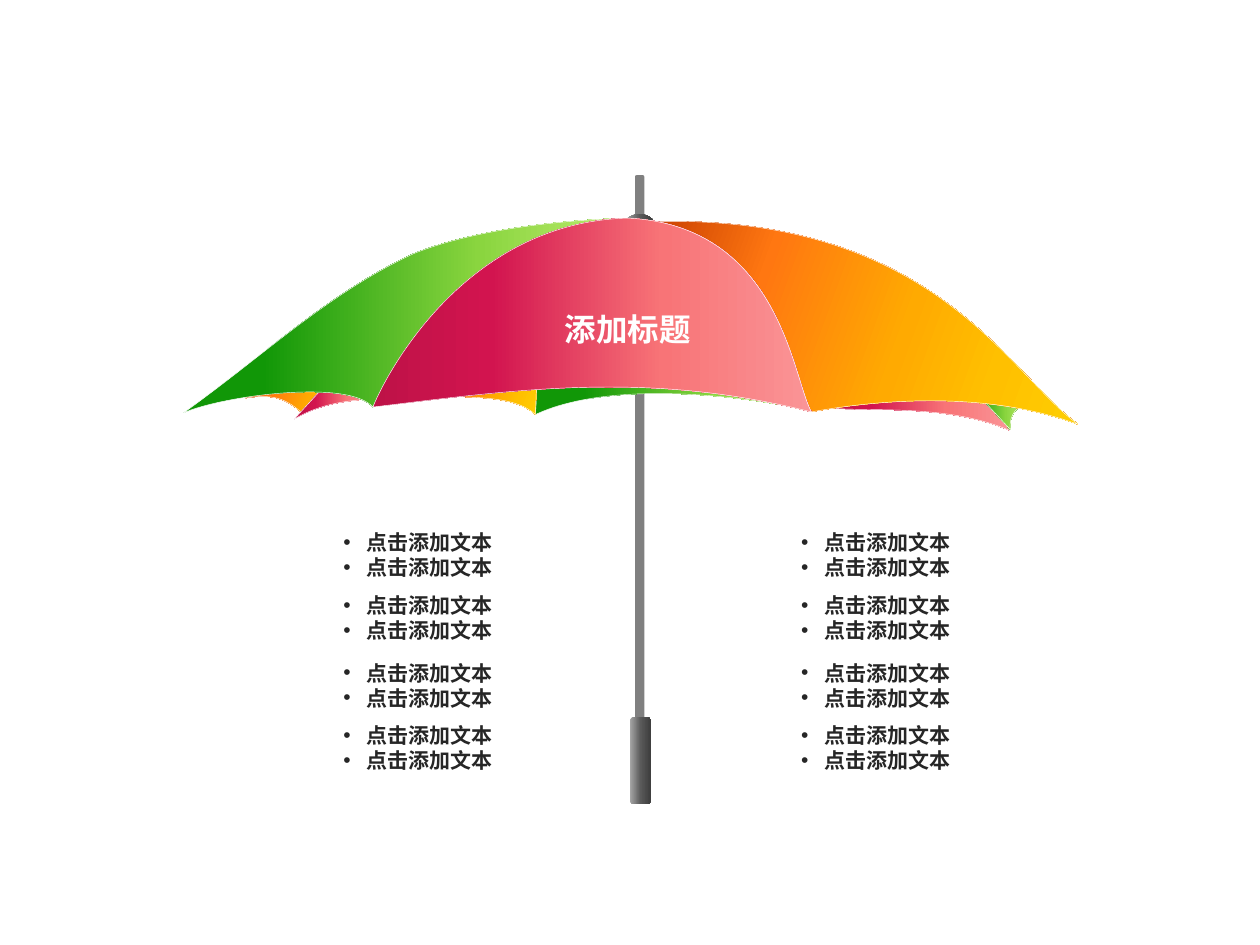
import pptx
import pptx.dml.color
import pptx.enum.shapes
import pptx.enum.text
import pptx.oxml.ns
import pptx.util
from lxml import etree

Pt = pptx.util.Pt
qn = pptx.oxml.ns.qn
KIND = pptx.enum.shapes.MSO_SHAPE
ALIGN = pptx.enum.text.PP_ALIGN
FONT = "Noto Sans CJK SC"
COLORS = {"white": "FFFFFF", "pole": "808080", "ink": "262626"}
GRADS = {
    "steel": (0, [(0, "A6A6A6"), (51, "595959"), (93, "404040")]),
    "green": (0, [(18, "119707"), (67, "8AD53F"), (100, "BCEB6F")]),
    "pink": (0, [(0, "BE1247"), (27, "D2144F"), (66, "F87477"), (100, "FA9496")]),
    "gold": (340, [(0, "C73E01"), (27, "FF7711"), (59, "FFAA01"),
                   (80, "FFC000"), (100, "FECE02")]),
}
REAR = ("green", [(202, 136.9), (246.6, 116, 327.3, 127.5, 354.6, 134),
                  (297.8, 90.8), (203.4, 110.2), (202, 136.9)])
PANELS = [
    ("gold", [(68.1, 135.4), (83.2, 118.2), (100.5, 105.9), (47.2, 111.7),
              (36.4, 127.5), (53.7, 124.6, 60.2, 129, 68.1, 135.4)]),
    ("pink", [(63.8, 139.8), (89, 112.4), (109.8, 118.2), (104.8, 128.2),
              (98.3, 129, 79.6, 129.7, 63.8, 139.8)]),
    ("gold", [(202, 136.9), (202.7, 118.2), (140.8, 126.1),
              (163.8, 127.5, 189.8, 125.4, 202, 136.9)]),
    ("pink", [(473.4, 146.2), (435.3, 129.7, 388.5, 136.2, 364.7, 132.6),
              (423.8, 96.6), (440.3, 113.1, 458.3, 125.4, 473.4, 146.2)]),
    ("green", [(473.4, 145.5), (472, 136.2, 479.2, 131.1, 482.8, 130.4),
               (458.3, 121), (446.1, 116), (473.4, 145.5)]),
    ("green", [(0.4, 136.2), (44.3, 105.2, 83.9, 67, 132.9, 44.7),
               (165.3, 31.8, 212.1, 26, 253.1, 24.6),
               (157.4, 33.9, 124.2, 104.5, 109.1, 132.6),
               (94.7, 116, 19.8, 126.8, 0.4, 136.2)]),
    ("gold", [(359.7, 135.4), (399.3, 128.2, 459.8, 123.2, 512.3, 142.6),
              (472, 113.8, 429.5, 21, 265.4, 26.7),
              (341, 35.4, 345.3, 118.9, 359.7, 135.4)]),
    ("pink", [(109.1, 132.6), (111.3, 126.1, 155.2, 27.4, 254.6, 24.6),
              (342.4, 28.9, 348.9, 116.7, 359.7, 135.4),
              (266.1, 111.7, 191.9, 122.5, 109.1, 132.6)]),
]


def tone(name):
    """Return the named colour."""
    return pptx.dml.color.RGBColor.from_string(COLORS[name])


def shade(shape, name):
    """Fill a shape with a named gradient or plain colour."""
    shape.shadow.inherit = False
    if name in COLORS:
        shape.fill.solid()
        shape.fill.fore_color.rgb = tone(name)
        return
    angle, stops = GRADS[name]
    shape.fill.gradient()
    shape.fill.gradient_angle = angle
    group = shape._element.spPr.find(".//" + qn("a:gsLst"))
    for old in list(group):
        group.remove(old)
    for pos, code in stops:
        stop = etree.SubElement(group, qn("a:gs"), pos=str(pos * 1000))
        etree.SubElement(stop, qn("a:srgbClr"), val=code)


def bend(shape, route):
    """Turn the six-number steps of a closed outline into cubic curves."""
    trail = shape._element.spPr.find(".//" + qn("a:path"))
    left = min(step[-2] for step in route)
    top = min(step[-1] for step in route)
    for old in list(trail):
        trail.remove(old)
    for count, step in enumerate(route):
        tag = "cubicBezTo" if len(step) == 6 else "lnTo" if count else "moveTo"
        node = etree.SubElement(trail, qn("a:" + tag))
        for x, y in zip(step[::2], step[1::2]):
            etree.SubElement(node, qn("a:pt"), x=str(round((x - left) * 100)),
                             y=str(round((y - top) * 100)))
    etree.SubElement(trail, qn("a:close"))


def panel(slide, box, name, route):
    """Draw one cloth panel of the canopy."""
    ends = [(step[-2] * 100, step[-1] * 100) for step in route]
    pen = slide.shapes.build_freeform(*ends[0], scale=Pt(1) / 100)
    pen.add_line_segments(ends[1:])
    shape = pen.convert_to_shape(Pt(box[0]), Pt(box[1]))
    bend(shape, route)
    shade(shape, name)
    shape.line.color.rgb = tone("white")
    shape.line.width = Pt(0.25)


def part(slide, box, kind, place, name):
    """Draw one solid part of the stick."""
    x, y, wide, high = place
    shape = slide.shapes.add_shape(
        kind, Pt(box[0] + x), Pt(box[1] + y), Pt(wide), Pt(high))
    shade(shape, name)
    shape.line.fill.background()


def write(slide, place, lines, size, color, style, bullet=None):
    """Write bold lines in a text box."""
    frame = slide.shapes.add_textbox(*map(Pt, place)).text_frame
    frame.word_wrap = True
    frame.vertical_anchor = pptx.enum.text.MSO_ANCHOR.MIDDLE
    for count, line in enumerate(lines):
        para = frame.add_paragraph() if count else frame.paragraphs[0]
        if bullet:
            props = para._p.get_or_add_pPr()
            props.set("marL", str(Pt(13.5)))
            props.set("indent", str(-Pt(13.5)))
            etree.SubElement(props, qn("a:buFont"), typeface="Arial")
            etree.SubElement(props, qn("a:buChar"), char=bullet)
        for key, value in style.items():
            setattr(para, key, value)
        run = para.add_run()
        run.text = line
        for key, value in {"size": Pt(size), "bold": True, "name": FONT}.items():
            setattr(run.font, key, value)
        run.font.color.rgb = tone(color)
        etree.SubElement(run._r.get_or_add_rPr(), qn("a:ea"), typeface=FONT)


def brolly(slide, box):
    """Draw the umbrella and its title."""
    part(slide, box, KIND.ROUNDED_RECTANGLE, (258.9, 0.1, 5.3, 311), "pole")
    part(slide, box, KIND.ROUNDED_RECTANGLE, (256, 310, 12.2, 49.4), "steel")
    panel(slide, box, *REAR)
    part(slide, box, KIND.OVAL, (253.1, 22.4, 16.6, 10.8), "steel")
    for name, route in PANELS:
        panel(slide, box, name, route)
    write(slide, (box[0] + 200, box[1] + 73.5, 109.4, 28.8), ["添加标题"],
          18, "white", {"alignment": ALIGN.CENTER})


def column(slide, box):
    """Place four pairs of bullets down one column."""
    left, top = box
    for drop, wide in ((0, 116), (35.7, 142.6), (74.4, 128.2), (110.2, 114.5)):
        write(slide, (left, top + drop, wide, 36), ["点击添加文本"] * 2,
              12, "ink", {"line_spacing": Pt(14.3)}, "•")


def main():
    """Build and save the slide."""
    deck = pptx.Presentation()
    deck.slide_width, deck.slide_height = Pt(720), Pt(540)
    slide = deck.slides.add_slide(deck.slide_layouts[6])
    brolly(slide, (104, 100))
    for left in (189.1, 450.7):
        column(slide, (left, 299.2))
    deck.save("out.pptx")


if __name__ == "__main__":
    main()
